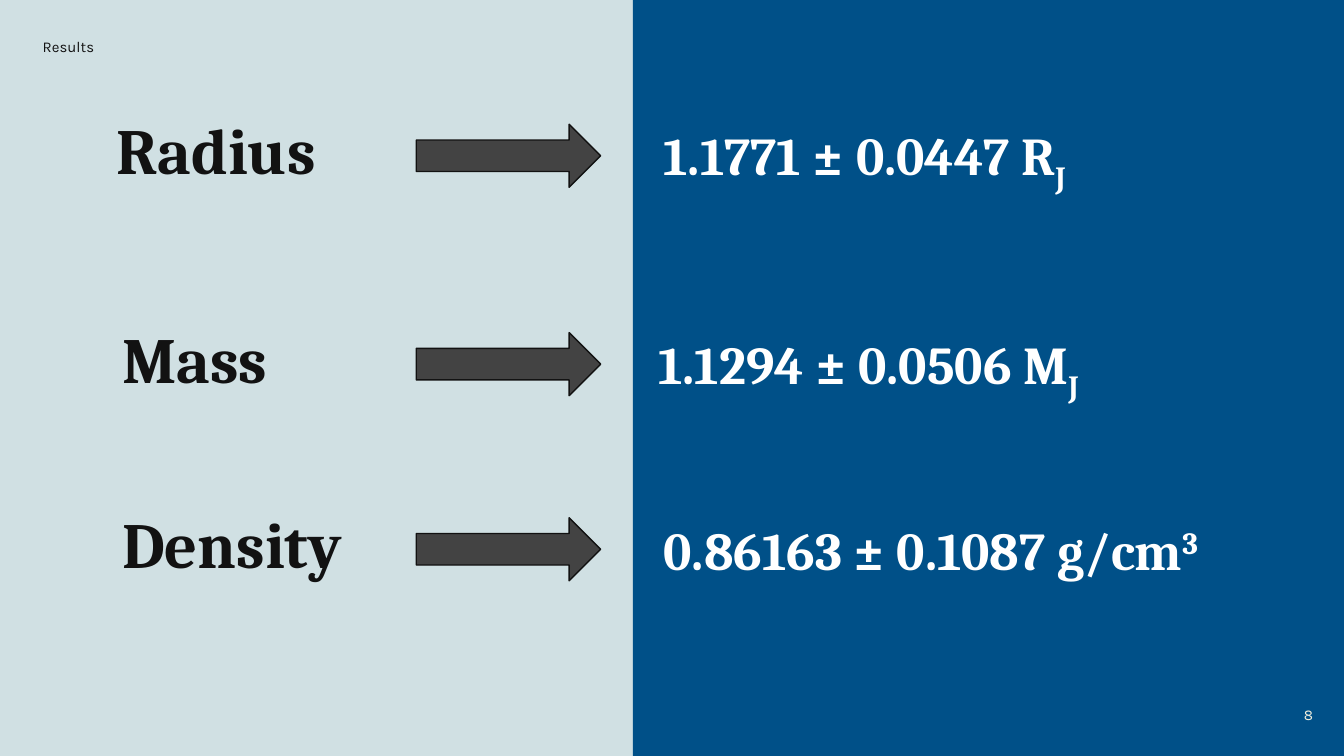
from pptx import Presentation
from pptx.dml.color import RGBColor
from pptx.enum.shapes import MSO_SHAPE
from pptx.enum.text import MSO_ANCHOR, PP_ALIGN
from pptx.util import Pt

PALE = RGBColor(0xD0, 0xE0, 0xE3)
BLUE = RGBColor(0x00, 0x50, 0x88)
INK = RGBColor(0x12, 0x12, 0x12)
GREY = RGBColor(0x43, 0x43, 0x43)
CREAM = RGBColor(0xF3, 0xF0, 0xDF)
WHITE = RGBColor(0xFF, 0xFF, 0xFF)

SLIDE_WIDTH, SLIDE_HEIGHT = 720, 405
PANEL_LEFT = 339
ROW_HEIGHT = 57.6
ARROW_LEFT, ARROW_WIDTH, ARROW_HEIGHT = 223, 98.8, 33.8

# row top, label, label left, arrow top, value, script, baseline, value left, value width
RESULTS = [
    (50.4, "Radius", 55.4, 66.6, "1.1771 ± 0.0447 R", "J", -25, 348.5, 344),
    (162.7, "Mass", 58.3, 178.2, "1.1294 ± 0.0506 M", "J", -25, 345.6, 344),
    (261.4, "Density", 58.3, 277.4, "0.86163 ± 0.1087 g/cm", "3", 30, 348.5, 369.4),
]


def add_text(slide, box, text, *, size, color, font="Cambria", bold=False,
             align=PP_ALIGN.LEFT, anchor=MSO_ANCHOR.BOTTOM, line_spacing=0.9,
             space_after=0, script="", baseline=0):
    """Place text in box; script follows it, shifted by baseline percent."""
    frame = slide.shapes.add_textbox(*map(Pt, box)).text_frame
    frame.word_wrap = True
    frame.vertical_anchor = anchor
    frame.margin_left = frame.margin_right = Pt(7.2)
    frame.margin_top = frame.margin_bottom = Pt(7.2)
    paragraph = frame.paragraphs[0]
    paragraph.alignment = align
    paragraph.line_spacing = line_spacing
    paragraph.space_after = Pt(space_after)
    for part, shift in ((text, 0), (script, baseline)):
        if not part:
            continue
        run = paragraph.add_run()
        run.text = part
        run.font.name = font
        run.font.size = Pt(size)
        run.font.bold = bold
        run.font.color.rgb = color
        if shift:
            run.font._element.set("baseline", str(shift * 1000))


def add_filled(slide, preset, box, fill, outline=None):
    shape = slide.shapes.add_shape(preset, *map(Pt, box))
    shape.shadow.inherit = False
    shape.fill.solid()
    shape.fill.fore_color.rgb = fill
    if outline is None:
        shape.line.fill.background()
    else:
        shape.line.color.rgb = outline
        shape.line.width = Pt(0.75)


def add_frame(slide, width, height):
    """Background, right-hand panel, section name and page number."""
    slide.background.fill.solid()
    slide.background.fill.fore_color.rgb = PALE
    add_filled(slide, MSO_SHAPE.RECTANGLE,
               (PANEL_LEFT, 0, width - PANEL_LEFT, height), BLUE)
    add_text(slide, (15.8, 15.8, 146, 16.6), "Results", size=8, color=INK,
             font="Karla", anchor=MSO_ANCHOR.MIDDLE, line_spacing=1.15,
             space_after=12)
    add_text(slide, (width - 52.6, height - 37.8, 43.2, 31), "8", size=8,
             color=CREAM, font="Karla", align=PP_ALIGN.RIGHT,
             anchor=MSO_ANCHOR.MIDDLE, line_spacing=1.0)


def add_result(slide, top, label, label_left, arrow_top, value, script,
               baseline, value_left, value_width):
    add_text(slide, (label_left, top, 248.4, ROW_HEIGHT), label,
             size=34.5, color=INK, bold=True)
    add_text(slide, (value_left, top, value_width, ROW_HEIGHT), value,
             size=28.5, color=WHITE, bold=True, script=script,
             baseline=baseline)
    add_filled(slide, MSO_SHAPE.RIGHT_ARROW,
               (ARROW_LEFT, arrow_top, ARROW_WIDTH, ARROW_HEIGHT), GREY, INK)


def main():
    deck = Presentation()
    deck.slide_width, deck.slide_height = Pt(SLIDE_WIDTH), Pt(SLIDE_HEIGHT)
    slide = deck.slides.add_slide(deck.slide_layouts[6])
    add_frame(slide, SLIDE_WIDTH, SLIDE_HEIGHT)
    for result in RESULTS:
        add_result(slide, *result)
    deck.save("out.pptx")


if __name__ == "__main__":
    main()
